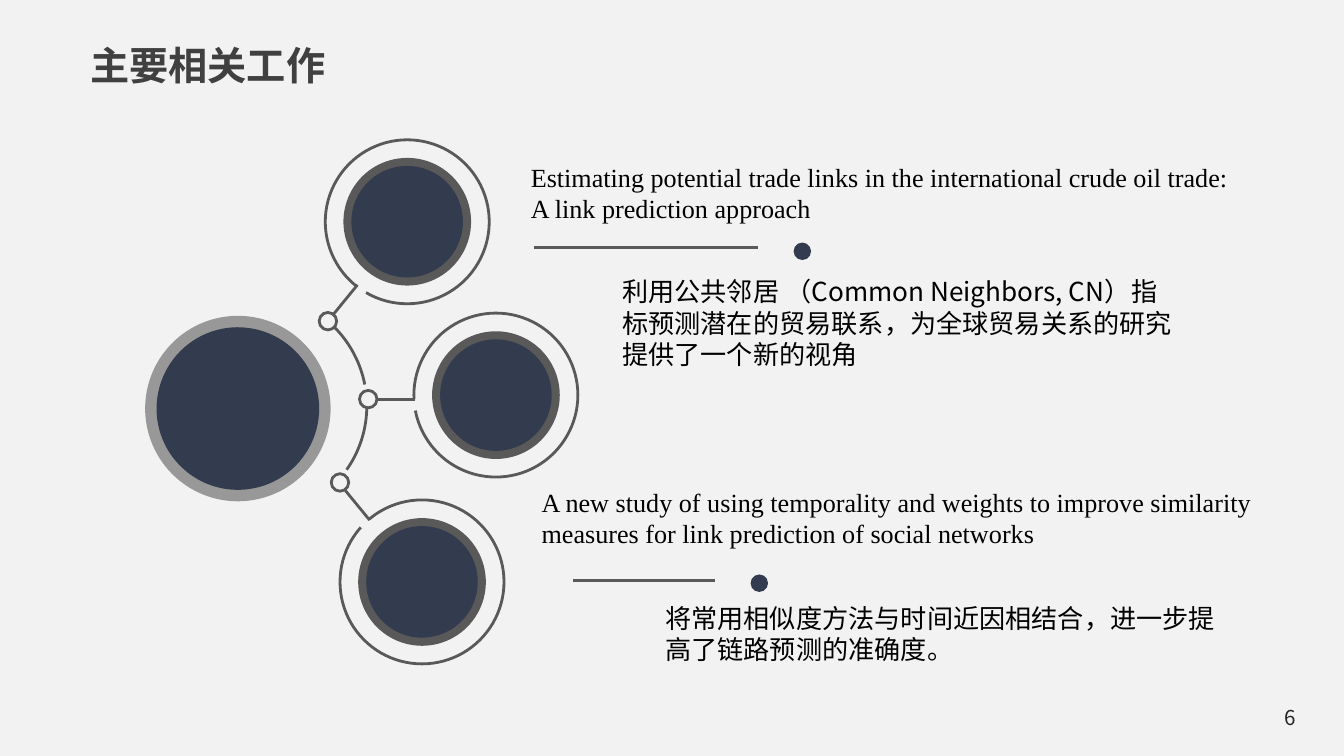
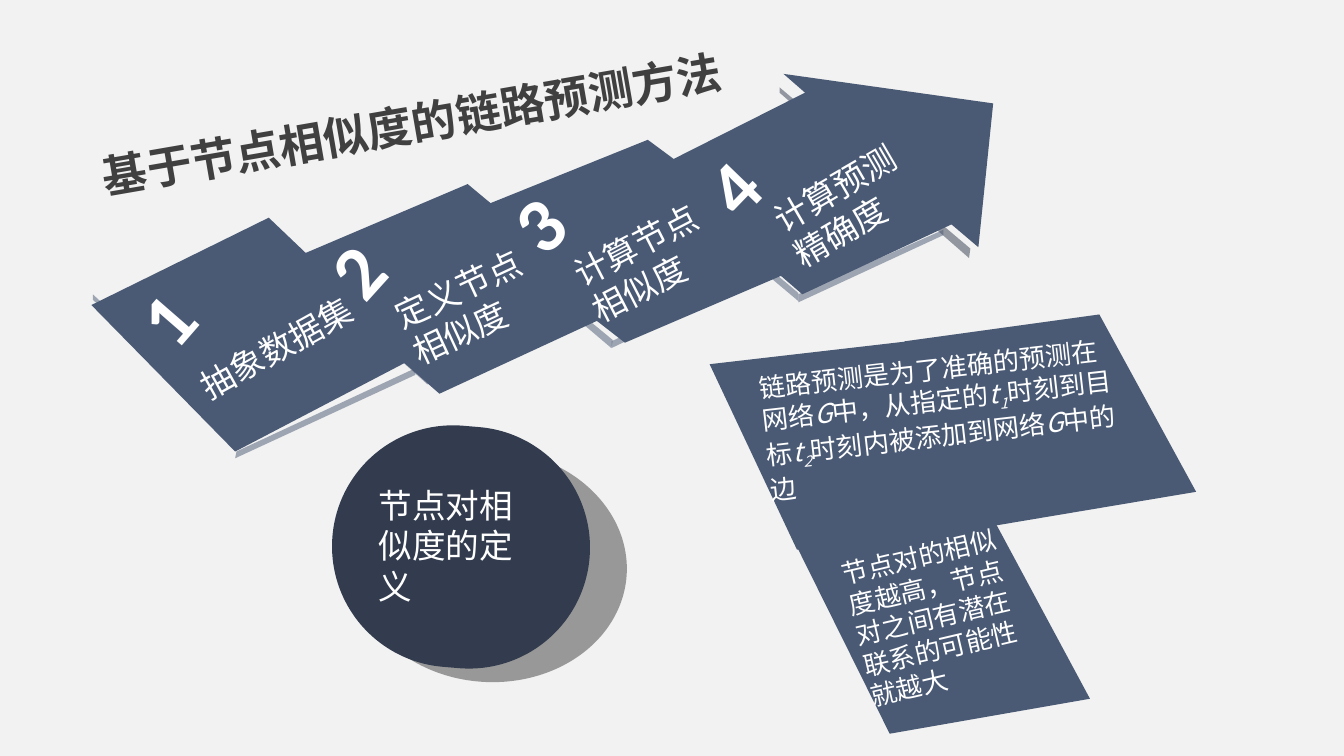
from math import atan2, degrees

from pptx import Presentation
from pptx.dml.color import RGBColor
from pptx.enum.shapes import MSO_CONNECTOR as Connector, MSO_SHAPE as Preset
from pptx.enum.text import MSO_ANCHOR as Anchor, MSO_AUTO_SIZE as AutoSize, PP_ALIGN as Align
from pptx.oxml.ns import qn
from pptx.util import Inches, Pt

PAPER = RGBColor(0xF2, 0xF2, 0xF2)
NAVY = RGBColor(0x32, 0x3C, 0x4E)
SLATE = RGBColor(0x4A, 0x5A, 0x75)
GRAY = RGBColor(0x59, 0x59, 0x59)
CHARCOAL = RGBColor(0x40, 0x40, 0x40)
INK = RGBColor(0x26, 0x26, 0x26)
BLACK = RGBColor(0, 0, 0)
WHITE = RGBColor(0xFF, 0xFF, 0xFF)
SANS, SERIF, DIGITS = "Noto Sans CJK SC", "Times New Roman", "Calibri"
NO_INSETS, SMALL_INSETS, INSETS = (0, 0), (0.07, 0.04), (0.1, 0.05)


def add_run(paragraph, text, size=14, color=BLACK, font=SANS, bold=False, italic=False, base=0):
    run = paragraph.add_run()
    run.text = text
    run.font.size, run.font.bold, run.font.italic = Pt(size), bold, italic
    run.font.color.rgb = color
    run.font.name = font
    properties = run._r.get_or_add_rPr()
    east_asian = properties.makeelement(qn("a:ea"), {"typeface": SANS})
    properties.find(qn("a:latin")).addnext(east_asian)
    if base:
        properties.set("baseline", str(base * 1000))


def write_text(shape, text, insets=NO_INSETS, align=Align.LEFT, anchor=Anchor.TOP, wrap=True, **style):
    """Fill a shape; text is a string or a list of (string, extra style) runs."""
    frame = shape.text_frame
    frame.word_wrap, frame.auto_size = wrap, AutoSize.NONE
    frame.vertical_anchor = anchor
    frame.margin_left = frame.margin_right = Inches(insets[0])
    frame.margin_top = frame.margin_bottom = Inches(insets[1])
    lines = text.split("\n") if isinstance(text, str) else [text]
    for index, line in enumerate(lines):
        paragraph = frame.add_paragraph() if index else frame.paragraphs[0]
        paragraph.alignment = align
        for part, extra in [(line, {})] if isinstance(line, str) else line:
            add_run(paragraph, part, **{**style, **extra})


class Deck:
    def __init__(self):
        self.presentation = Presentation()
        self.presentation.slide_width = Inches(10)
        self.presentation.slide_height = Inches(10) * 9 // 16
        fill = self.presentation.slide_master.background.fill
        fill.solid()
        fill.fore_color.rgb = PAPER
        self.slide = None

    def new_slide(self):
        layout = self.presentation.slide_layouts.get_by_name("Title Only")
        self.slide = self.presentation.slides.add_slide(layout)

    def title(self, text, box, size, insets, rotation=0):
        shape = self.slide.shapes.title
        shape.left, shape.top, shape.width, shape.height = map(Inches, box)
        shape.rotation = rotation
        write_text(shape, text, insets, size=size, color=CHARCOAL, bold=True)

    def text(self, text, box, rotation=0, **style):
        shape = self.slide.shapes.add_textbox(*map(Inches, box))
        shape.rotation = rotation
        write_text(shape, text, **style)

    def finish(self, shape, fill, line, alpha):
        shape.shadow.inherit = False
        if fill is None:
            shape.fill.background()
        else:
            shape.fill.solid()
            shape.fill.fore_color.rgb = fill
        if line is None:
            shape.line.fill.background()
        else:
            shape.line.color.rgb = line
            shape.line.width = Pt(1.5)
        if alpha < 100:
            color = shape._element.spPr.find(qn("a:solidFill"))[0]
            color.append(color.makeelement(qn("a:alpha"), {"val": str(alpha * 1000)}))
        return shape

    def oval(self, center, width, height=None, fill=None, line=None, alpha=100,
             preset=Preset.OVAL, rotation=0):
        height = height or width
        box = (center[0] - width / 2, center[1] - height / 2, width, height)
        shape = self.slide.shapes.add_shape(preset, *map(Inches, box))
        shape.rotation = rotation
        return self.finish(shape, fill, line, alpha)

    def disc(self, center, width, height=None, rotation=0):
        shape = self.oval(center, width, height, NAVY, preset=Preset.ROUNDED_RECTANGLE,
                          rotation=rotation)
        shape.adjustments[0] = 0.5

    def arc(self, center, radius, start, end):
        shape = self.oval(center, 2 * radius, line=GRAY, preset=Preset.ARC)
        # Angles are stored in 60000ths of a degree, adjustments in 100000ths
        for index, angle in enumerate((start, end)):
            shape.adjustments[index] = angle % 360 * 0.6

    def line(self, start, end):
        connector = self.slide.shapes.add_connector(
            Connector.STRAIGHT, *map(Inches, (*start, *end)))
        connector.line.color.rgb = GRAY
        connector.line.width = Pt(1.5)
        properties = connector._element.spPr
        properties.append(properties.makeelement(qn("a:effectLst"), {}))

    def polygon(self, points, alpha=100, fill=SLATE):
        (start_x, start_y), *others = [tuple(map(Inches, point)) for point in points]
        builder = self.slide.shapes.build_freeform(start_x, start_y)
        builder.add_line_segments(others, close=True)
        self.finish(builder.convert_to_shape(), fill, None, alpha)


def related_work(deck):
    deck.new_slide()
    deck.title("主要相关工作", (0.6, 0.27, 2.29, 0.43), 21, SMALL_INSETS)

    # Satellites: disc center, ring opening, joint center, joint end of the stem
    satellites = [
        ((3.03, 1.65), (2.66, 2.12), (2.44, 2.39), (2.48, 2.34)),
        ((3.69, 2.94), (3.09, 2.97), (2.74, 2.97), (2.81, 2.97)),
        ((3.14, 4.33), (2.75, 3.87), (2.53, 3.59), (2.57, 3.65)),
    ]
    for center, opening, joint, stem_end in satellites:
        deck.oval(center, 0.95, fill=GRAY)
        deck.disc(center, 0.83)
        start = degrees(atan2(opening[1] - center[1], opening[0] - center[0]))
        deck.arc(center, 0.61, start, start + 352)
        deck.oval(joint, 0.13, line=GRAY)
        deck.line(opening, stem_end)

    # Arcs between the joints, then the hub
    for start, end in ((-45, -11), (1, 35)):
        deck.arc((1.9, 3.02), 0.83, start, end)
    hub = (1.77, 3.04)
    deck.oval(hub, 1.38, fill=CHARCOAL, alpha=50)
    deck.disc(hub, 1.21)

    # Papers: rule with a dot, heading, summary
    papers = [
        ((3.97, 5.64, 1.84), (5.97, 1.87), (3.95, 1.2, 5.2, 0.47), (4.63, 2.05, 4.1, 0.71),
         "Estimating potential trade links in the international crude oil trade: "
         "A link prediction approach",
         "利用公共邻居 （Common Neighbors, CN）指标预测潜在的贸易联系，"
         "为全球贸易关系的研究提供了一个新的视角"),
        ((4.26, 5.32, 4.32), (5.65, 4.34), (4.03, 3.62, 5.34, 0.47), (4.95, 4.48, 4.1, 0.47),
         "A new study of using temporality and weights to improve similarity "
         "measures for link prediction of social networks",
         "将常用相似度方法与时间近因相结合，进一步提高了链路预测的准确度。"),
    ]
    for (left, right, y), dot, heading_box, summary_box, heading, summary in papers:
        deck.line((left, y), (right, y))
        deck.oval(dot, 0.13, fill=NAVY)
        deck.text(heading, heading_box, font=SERIF)
        deck.text(summary, summary_box)

    deck.text("6", (7.49, 5.19, 2.25, 0.3), size=11, color=INK, insets=INSETS,
              align=Align.RIGHT, anchor=Anchor.MIDDLE)


def similarity_method(deck):
    deck.new_slide()
    deck.title("基于节点相似度的链路预测方法", (0.63, 0.65, 5.09, 0.5), 24, INSETS, -9.8)
    deck.polygon([(5.93, 4.07), (6.62, 5.46), (8.11, 5.2), (7.39, 3.86)])

    # Arrow head and steps, last to first: faces are solid, edges translucent
    deck.polygon([(5.8, 0.65), (5.8, 0.69), (7.21, 1.92), (7.22, 1.85)], 50, NAVY)
    steps = [
        [[(5.97, 2.19), (7.08, 1.67), (7.28, 1.84), (7.39, 0.77), (5.83, 0.55), (5.99, 0.69),
          (4.88, 1.25)],
         [(4.88, 1.29), (4.87, 1.34), (5.94, 2.24), (5.94, 2.18)],
         [(5.94, 2.19), (5.94, 2.25), (7.02, 1.75), (7.02, 1.71)]],
        [[(3.43, 1.6), (4.65, 2.55), (6.05, 1.95), (4.82, 1.04)],
         [(4.55, 2.54), (4.55, 2.59), (5.87, 1.96), (5.87, 1.92)],
         [(3.43, 1.6), (3.43, 1.64), (4.55, 2.59), (4.56, 2.53)]],
        [[(2.14, 1.94), (3.27, 2.93), (4.61, 2.31), (3.48, 1.37)],
         [(3.18, 2.82), (3.18, 2.86), (4.43, 2.27), (4.43, 2.23)],
         [(2.16, 1.89), (2.15, 1.93), (3.18, 2.86), (3.19, 2.81)]],
        [[(0.68, 2.27), (1.75, 3.36), (3.09, 2.66), (2, 1.62)],
         [(1.76, 3.36), (1.75, 3.41), (3.09, 2.79), (3.09, 2.74)],
         [(0.69, 2.19), (0.69, 2.23), (1.77, 3.25), (1.78, 3.19)]],
    ]
    for face, *edges in steps:
        deck.polygon(face)
        for edge in edges:
            deck.polygon(edge, 50)

    # Step numbers and labels
    labels = [
        ((1.02, 1.98), -49, "抽象数据集", (1.42, 2.39, 1.44, 0.3), -29),
        ((2.43, 1.62), -48, "定义节点\n相似度", (2.97, 1.96, 1.11, 0.61), -25),
        ((3.79, 1.27), -41, "计算节点相似度", (4.29, 1.61, 1.2, 0.61), -27.2),
        ((5.23, 1.0), -46, "计算预测精确度", (5.78, 1.19, 1.15, 0.61), -30.2),
    ]
    for number, (corner, turn, label, box, slope) in enumerate(labels, 1):
        deck.text(str(number), (*corner, 0.44, 0.77), turn, insets=SMALL_INSETS, wrap=False,
                  size=41, color=WHITE, font=DIGITS, bold=True)
        deck.text(label, box, slope, size=18, color=WHITE)

    # Definition disc with its shade
    deck.oval((3.64, 4.21), 2.05, 1.73, CHARCOAL, alpha=50, rotation=4.2)
    deck.disc((3.43, 4.07), 1.92, 1.8, rotation=4.8)
    deck.text("节点对相似度的定义", (2.72, 3.56, 1.43, 1.01), insets=INSETS, size=18, color=WHITE)

    # Explanation panels
    deck.polygon([(5.28, 2.71), (5.93, 4.09), (7.43, 3.88), (6.75, 2.54)])
    deck.text("节点对的相似度越高，节点对之间有潜在联系的可能性就越大",
              (6.26, 3.95, 1.47, 1.28), -13.2, insets=INSETS, color=WHITE, font=DIGITS)
    deck.polygon([(6.73, 2.54), (7.41, 3.91), (8.9, 3.66), (8.18, 2.34)])
    plain, variable = {}, {"italic": True}
    subscript = {"italic": True, "base": -25}
    definition = [
        ("链路预测是为了准确的预测在网络", plain), ("G", variable), ("中，从指定的", plain),
        ("t", variable), ("1", subscript), ("时刻到目标", plain),
        ("t", variable), ("2", subscript), ("时刻内被添加到网络", plain),
        ("G", variable), ("中的边", plain),
    ]
    deck.text(definition, (5.58, 2.57, 2.89, 1.04), -6.5, insets=INSETS, color=WHITE)


def main():
    deck = Deck()
    related_work(deck)
    similarity_method(deck)
    deck.presentation.save("out.pptx")


if __name__ == "__main__":
    main()
